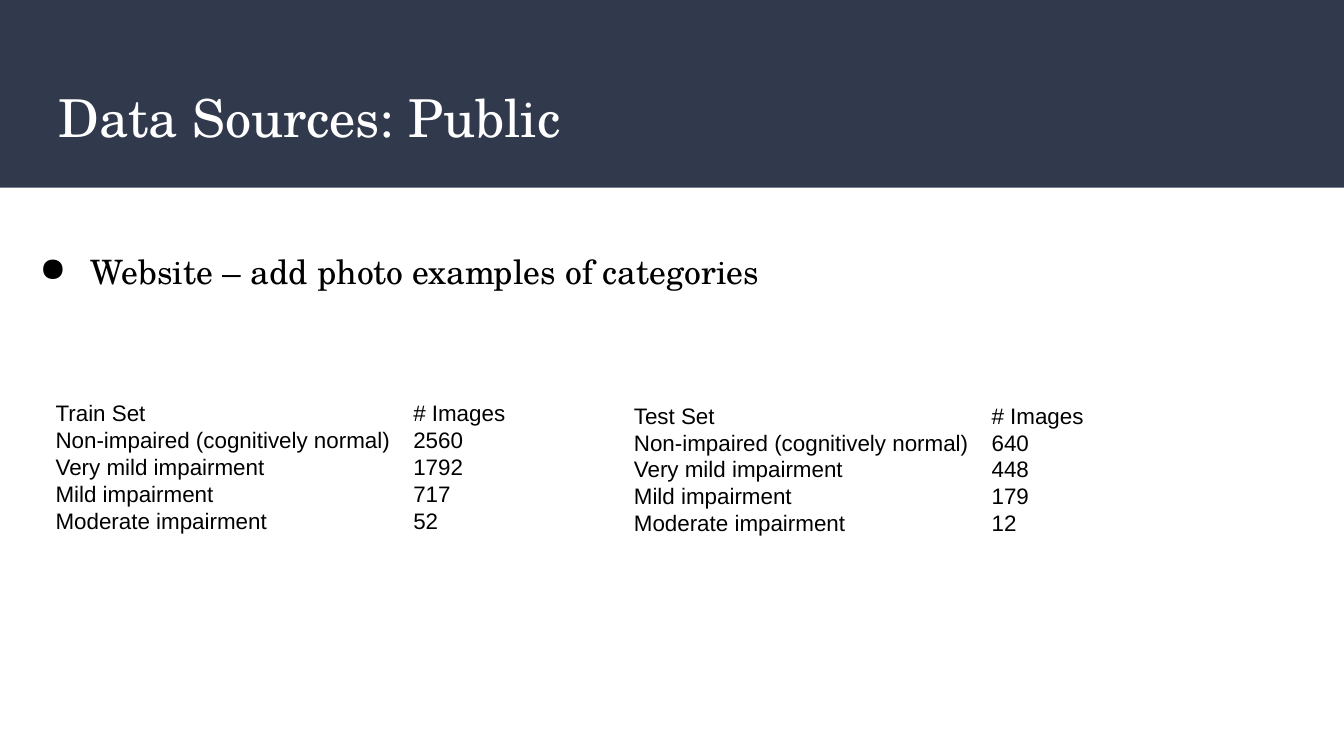
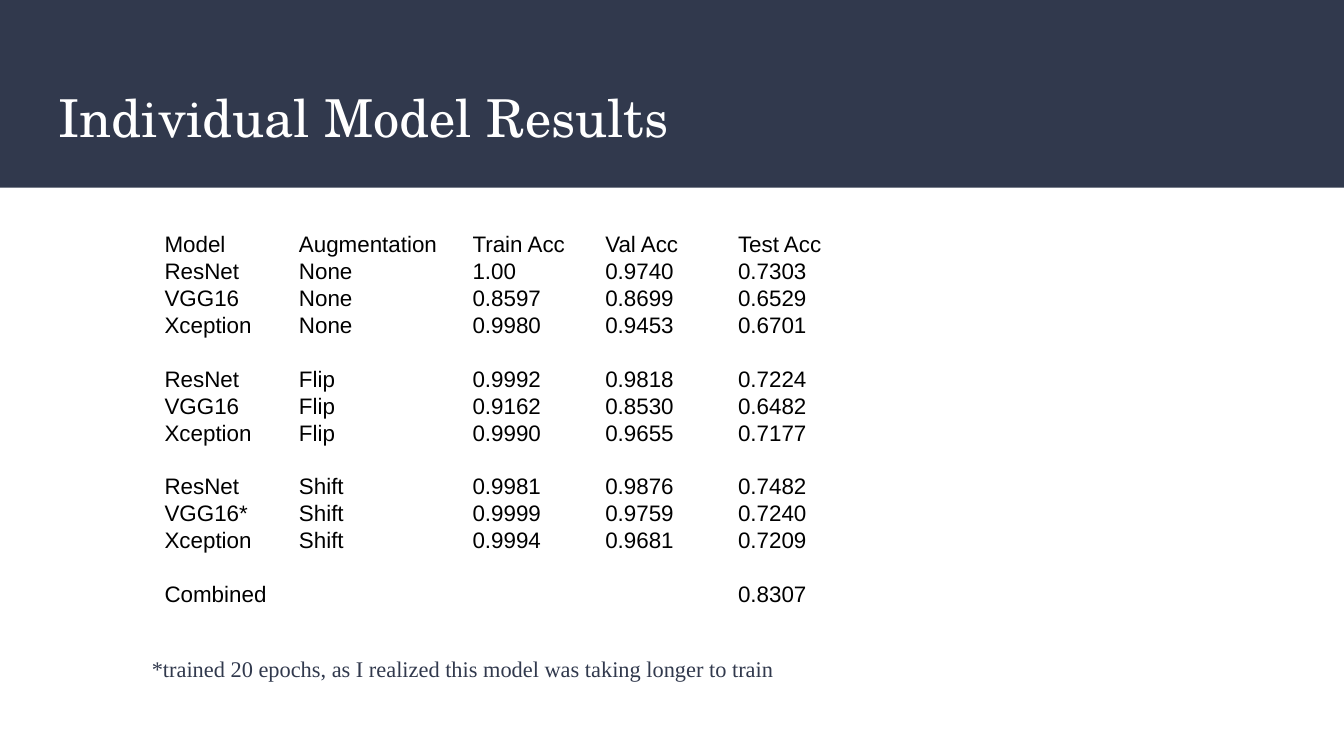
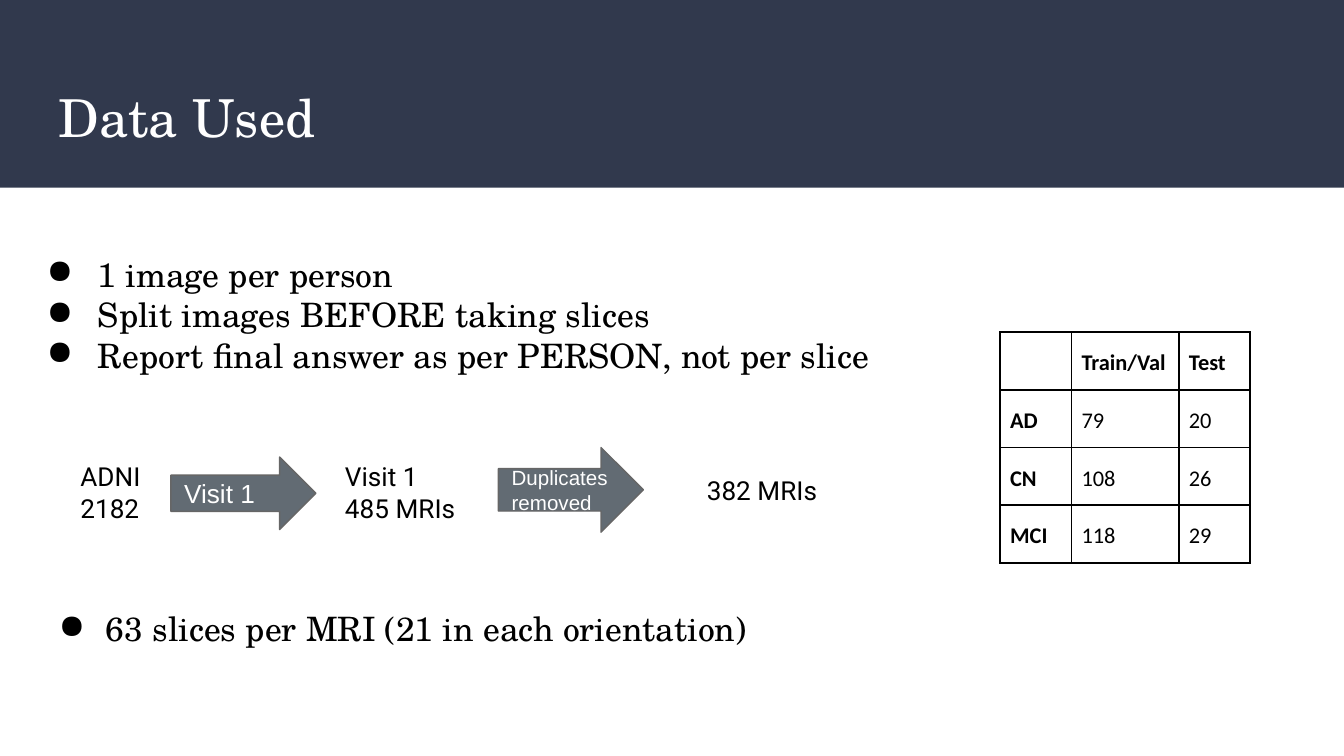
from lxml.etree import SubElement
from pptx import Presentation
from pptx.dml.color import RGBColor
from pptx.enum.shapes import MSO_SHAPE
from pptx.enum.text import MSO_ANCHOR
from pptx.oxml.ns import qn
from pptx.util import Cm, Pt

NAVY, SLATE, GRAY = "31394D", "626B73", "666666"
BLACK, WHITE = "000000", "FFFFFF"
SERIF, SANS, LABEL = "TeX Gyre Schola", "Arial", "Roboto"
PAGE_WIDTH, PAGE_HEIGHT = 25.4, 14.29
INSET = 0.25
NO_TABLE_STYLE = "{2D5ABB26-0587-4C30-8999-92F81FD0307C}"


def color(code):
    return RGBColor.from_string(code)


class Deck:
    """Holds the shared style and the page being filled."""

    def __init__(self):
        self.deck = Presentation()
        self.deck.slide_width = Cm(PAGE_WIDTH)
        self.deck.slide_height = Cm(PAGE_HEIGHT)
        self.page = None

    def new_page(self, title):
        self.page = self.deck.slides.add_slide(self.deck.slide_layouts[6])
        self.shape(MSO_SHAPE.RECTANGLE, 0, 0, PAGE_WIDTH, 3.55, NAVY)
        self.text([title], 0.86, 1.37, 23.67, 1.73, 28, SERIF, WHITE)

    def shape(self, kind, left, top, width, height, fill, line=None):
        shape = self.page.shapes.add_shape(
            kind, Cm(left), Cm(top), Cm(width), Cm(height))
        shape.shadow.inherit = False
        shape.fill.solid()
        shape.fill.fore_color.rgb = color(fill)
        if line:
            shape.line.color.rgb = color(line)
            shape.line.width = Pt(0.75)
        else:
            shape.line.fill.background()
        return shape

    def add_span(self, para, text, size, font, ink=BLACK, bold=False):
        span = para.add_run()
        span.text = text
        span.font.size = Pt(size)
        span.font.name = font
        span.font.bold = bold
        span.font.color.rgb = color(ink)

    def fill_frame(self, frame, lines, size, font, ink, hanging=None):
        """Add one paragraph per line, bulleted if a hanging indent is given."""
        frame.word_wrap = True
        frame.margin_left = frame.margin_right = Cm(INSET)
        frame.margin_top = frame.margin_bottom = Cm(INSET)
        for index, line in enumerate(lines):
            para = frame.add_paragraph() if index else frame.paragraphs[0]
            # Shapes centre their text unless told otherwise
            properties = para._p.get_or_add_pPr()
            properties.set("algn", "l")
            if hanging:
                properties.set("marL", str(Cm(1.27)))
                properties.set("indent", str(-Cm(hanging)))
                tint = SubElement(properties, qn("a:buClr"))
                SubElement(tint, qn("a:srgbClr"), val=ink)
                SubElement(properties, qn("a:buChar"), char="●")
            self.add_span(para, line, size, font, ink)

    def text(self, lines, left, top, width, height, size, font,
             ink=BLACK, hanging=None):
        box = self.page.shapes.add_textbox(
            Cm(left), Cm(top), Cm(width), Cm(height))
        self.fill_frame(box.text_frame, lines, size, font, ink, hanging)
        return box

    def bullets(self, lines, left, top, width, height, hanging=0.97):
        self.text(lines, left, top, width, height, 18, SERIF, hanging=hanging)

    def arrow(self, label, left, top, height, size):
        arrow = self.shape(MSO_SHAPE.RIGHT_ARROW, left, top, 2.74, height,
                           SLATE, GRAY)
        self.fill_frame(arrow.text_frame, [label], size, SANS, WHITE)
        arrow.text_frame.vertical_anchor = MSO_ANCHOR.MIDDLE

    def border(self, cell):
        properties = cell._tc.get_or_add_tcPr()
        for side in ("a:lnL", "a:lnR", "a:lnT", "a:lnB"):
            line = SubElement(properties, qn(side), w=str(Pt(1)))
            fill = SubElement(line, qn("a:solidFill"))
            SubElement(fill, qn("a:srgbClr"), val=BLACK)

    def table(self, rows, left, top, widths, row_height, font=SANS, grid=False):
        """Add a plain table; a grid one has borders, padding and bold headings."""
        table = self.page.shapes.add_table(
            len(rows), len(widths), Cm(left), Cm(top),
            Cm(sum(widths)), Cm(row_height * len(rows))).table
        table.first_row = table.horz_banding = False
        table._tbl.tblPr.find(qn("a:tableStyleId")).text = NO_TABLE_STYLE
        for column, width in zip(table.columns, widths):
            column.width = Cm(width)
        for r, values in enumerate(rows):
            table.rows[r].height = Cm(row_height)
            for c in range(len(widths)):
                cell = table.cell(r, c)
                cell.margin_left = cell.margin_right = Cm(0.19)
                cell.margin_top = cell.margin_bottom = Cm(INSET if grid else 0)
                if grid:
                    self.border(cell)
                cell.fill.background()
                para = cell.text_frame.paragraphs[0]
                if grid:
                    para.line_spacing = 1.15
                value = values[c] if c < len(values) else ""
                if value:
                    self.add_span(para, value, 12, font,
                                  bold=grid and 0 in (r, c))
                else:
                    SubElement(para._p, qn("a:endParaRPr"), sz="1200")


def add_sources(deck):
    deck.new_page("Data Sources: Public")
    deck.bullets(["Website – add photo examples of categories"],
                 0.2, 4.5, 25, 3.58)
    categories = ("Non-impaired (cognitively normal)", "Very mild impairment",
                  "Mild impairment", "Moderate impairment")
    for name, left, top, counts in (
            ("Train Set", 0.86, 7.59, ("2560", "1792", "717", "52")),
            ("Test Set", 11.79, 7.63, ("640", "448", "179", "12"))):
        rows = [(name, "# Images"), *zip(categories, counts)]
        deck.table(rows, left, top, (6.76, 2.59), 0.51)


def add_results(deck):
    deck.new_page("Individual Model Results")
    rows = [
        ("Model", "Augmentation", "Train Acc", "Val Acc", "Test Acc"),
        ("ResNet", "None", "1.00", "0.9740", "0.7303"),
        ("VGG16", "None", "0.8597", "0.8699", "0.6529"),
        ("Xception", "None", "0.9980", "0.9453", "0.6701"),
        (),
        ("ResNet", "Flip", "0.9992", "0.9818", "0.7224"),
        ("VGG16", "Flip", "0.9162", "0.8530", "0.6482"),
        ("Xception", "Flip", "0.9990", "0.9655", "0.7177"),
        (),
        ("ResNet", "Shift", "0.9981", "0.9876", "0.7482"),
        ("VGG16*", "Shift", "0.9999", "0.9759", "0.7240"),
        ("Xception", "Shift", "0.9994", "0.9681", "0.7209"),
        (),
        ("Combined", "", "", "", "0.8307"),
    ]
    deck.table(rows, 2.92, 4.39, (2.54, 3.28, 2.51, 2.51, 2.51), 0.47)
    note = deck.text(
        ["*trained 20 epochs, as I realized this model was taking longer to train"],
        2.62, 12.01, 20, 1.27, 12, "Times New Roman", NAVY)
    note.text_frame.vertical_anchor = MSO_ANCHOR.MIDDLE


def add_data_used(deck):
    deck.new_page("Data Used")
    deck.bullets(["1 image per person",
                  "Split images BEFORE taking slices",
                  "Report final answer as per PERSON, not per slice"],
                 0.33, 4.55, 18, 4.36)
    deck.arrow("Visit 1", 3.23, 8.64, 1.37, 14)
    deck.arrow("Duplicates removed", 9.42, 8.46, 1.6, 11)
    deck.table([("", "Train/Val", "Test"),
                ("AD", "79", "20"),
                ("CN", "108", "26"),
                ("MCI", "118", "29")],
               18.9, 6.28, (1.35, 2.03, 1.35), 1.09, "Calibri", grid=True)
    for lines, left, top, width, height in (
            (["ADNI", "2182"], 1.27, 8.46, 2.95, 2.31),
            (["Visit 1", "485 MRIs"], 6.27, 8.46, 3.15, 1.7),
            (["382 MRIs"], 13.11, 8.71, 2.97, 1.12)):
        deck.text(lines, left, top, width, height, 14, LABEL)
    deck.bullets(["63 slices per MRI (21 in each orientation)"],
                 0.48, 11.25, 15, 1.27, hanging=0.89)


def main():
    deck = Deck()
    add_sources(deck)
    add_results(deck)
    add_data_used(deck)
    deck.deck.save("out.pptx")


if __name__ == "__main__":
    main()
